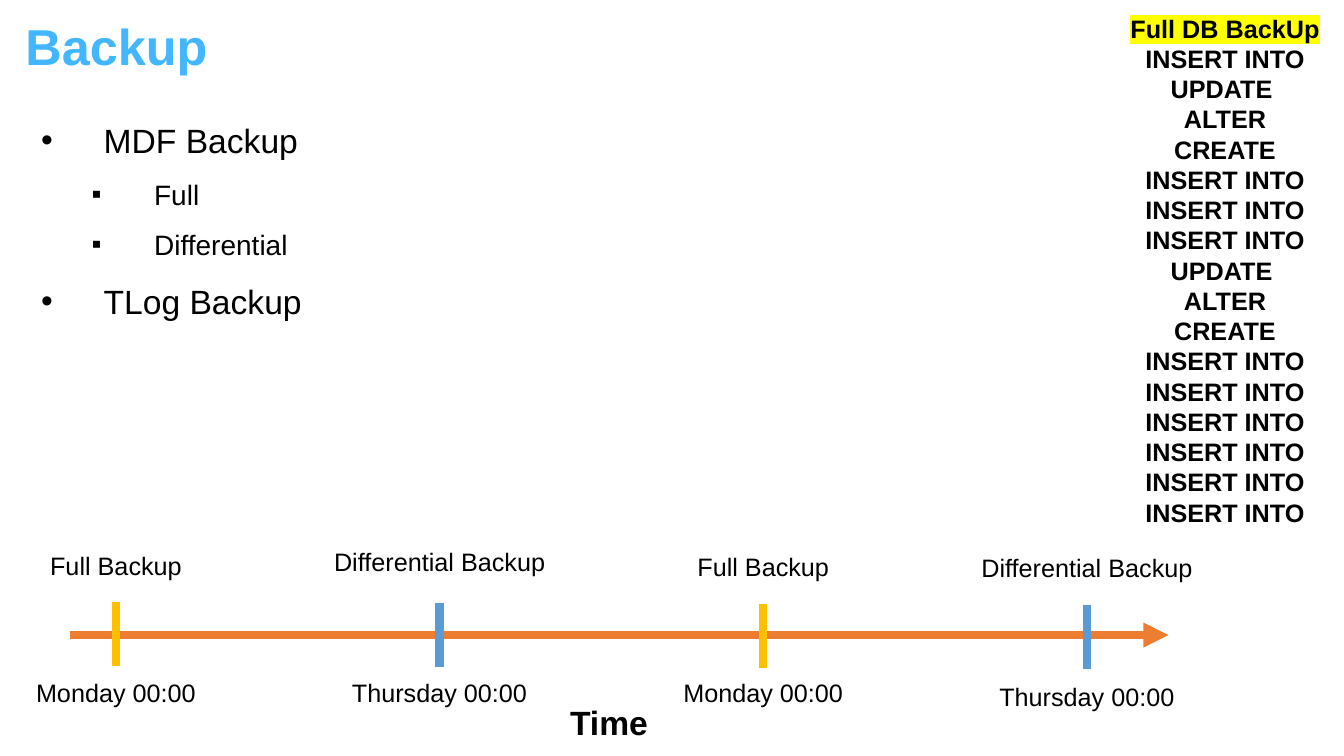
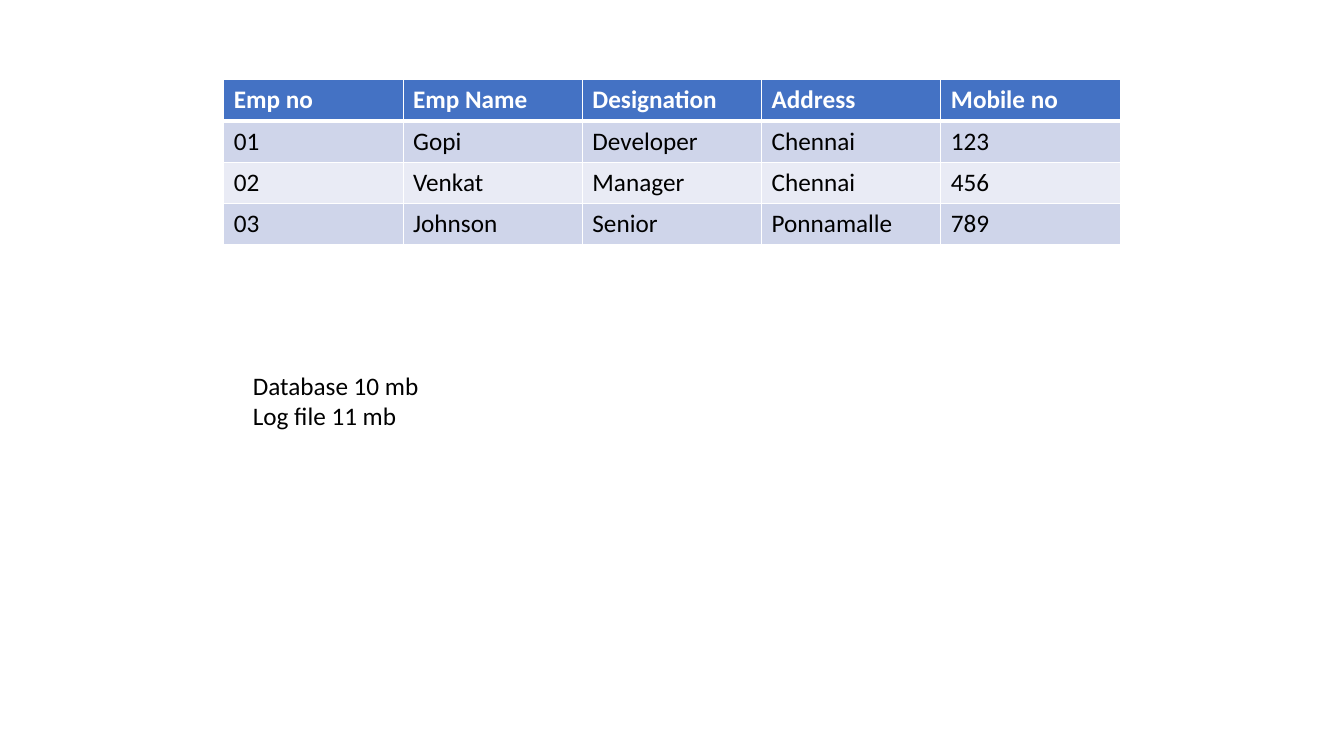
"""Build two slides on database backups: a timeline and an employee table."""
from pptx import Presentation
from pptx.dml.color import RGBColor
from pptx.enum.shapes import MSO_CONNECTOR as Connector
from pptx.enum.text import MSO_ANCHOR as Anchor, MSO_AUTO_SIZE as AutoSize, PP_ALIGN as Align
from pptx.oxml.ns import qn
from pptx.util import Inches, Pt
from lxml.etree import SubElement

BLACK = RGBColor(0x00, 0x00, 0x00)
WHITE = RGBColor(0xFF, 0xFF, 0xFF)
SKY = RGBColor(0x42, 0xB7, 0xFF)
ORANGE = RGBColor(0xED, 0x7D, 0x31)
GOLD = RGBColor(0xFF, 0xC0, 0x00)
BLUE = RGBColor(0x5B, 0x9B, 0xD5)
YELLOW = RGBColor(0xFF, 0xFF, 0x00)
HEADER = RGBColor(0x44, 0x72, 0xC4)
BAND_DARK = RGBColor(0xCF, 0xD5, 0xEA)
BAND_LIGHT = RGBColor(0xE9, 0xEB, 0xF5)
TITLE_ONLY, BLANK = 5, 6


class SlideBuilder:
    """Holds the deck, its text style and the current page."""

    def __init__(self, font="Arial", size=18):
        self.font, self.size = font, size
        self.deck = Presentation()
        self.deck.slide_width, self.deck.slide_height = Inches(13.33), Inches(7.5)
        self.page = None

    def new_page(self, layout, font):
        """Start a page with its own typeface."""
        self.page = self.deck.slides.add_slide(self.deck.slide_layouts[layout])
        self.font = font

    def format_para(self, para, size=None, color=BLACK, bold=False, align=None):
        """Format a paragraph and its runs."""
        para.alignment = align
        for span in para.runs:
            span.font.size = Pt(size or self.size)
            span.font.name = self.font
            span.font.bold = bold
            span.font.color.rgb = color

    def title(self, text, left, top, width, height):
        """Move and format the title placeholder."""
        box = self.page.shapes.title
        box.left, box.top = Inches(left), Inches(top)
        box.width, box.height = Inches(width), Inches(height)
        frame = box.text_frame
        frame.text = text
        frame.word_wrap = False
        frame.auto_size = AutoSize.NONE
        frame.vertical_anchor = Anchor.TOP
        self.format_para(frame.paragraphs[0], 36, SKY, True, Align.CENTER)

    def text(self, lines, left, top, width, height, **style):
        """Add a text box with one paragraph a line."""
        box = self.page.shapes.add_textbox(
            Inches(left), Inches(top), Inches(width), Inches(height))
        frame = box.text_frame
        frame.text = "\n".join(lines)
        frame.word_wrap = False
        frame.auto_size = AutoSize.SHAPE_TO_FIT_TEXT
        for para in frame.paragraphs:
            self.format_para(para, **style)
        return frame.paragraphs

    def bullets(self, items, left, top, width, height):
        """Add a bulleted list from (level, text) pairs."""
        paras = self.text([text for _, text in items], left, top, width, height)
        for para, (level, _) in zip(paras, items):
            self.format_para(para, 24 - 4 * level)
            para.level = level
            para.line_spacing = 1.5
            properties = para._p.get_or_add_pPr()
            properties.set("marL", str(Inches(0.62 + 0.5 * level)))
            properties.set("indent", str(Inches(-0.62)))
            SubElement(properties, qn("a:buFont"), typeface="Arial")
            SubElement(properties, qn("a:buChar"), char="•▪"[level])

    def highlight(self, para, color):
        """Mark the runs of a paragraph with a background colour."""
        for span in para.runs:
            properties = span._r.get_or_add_rPr()
            mark = SubElement(properties, qn("a:highlight"))
            SubElement(mark, qn("a:srgbClr"), val=str(color))
            properties.find(qn("a:solidFill")).addnext(mark)

    def line(self, start, end, color, arrow=False):
        """Add a thick straight line, with an arrowhead on request."""
        line = self.page.shapes.add_connector(
            Connector.STRAIGHT, *(Inches(value) for value in (*start, *end)))
        line.line.color.rgb = color
        line.line.width = Pt(6)
        if arrow:
            SubElement(line.line._get_or_add_ln(), qn("a:tailEnd"), type="triangle")
        SubElement(line._element.spPr, qn("a:effectLst"))

    def border(self, cell, edge, width):
        """Draw one white cell edge."""
        line = SubElement(cell._tc.get_or_add_tcPr(), qn(f"a:ln{edge}"), w=str(Pt(width)))
        fill = SubElement(line, qn("a:solidFill"))
        SubElement(fill, qn("a:srgbClr"), val=str(WHITE))

    def table(self, rows, left, top, width, row_height):
        """Add a table with a header and banded rows."""
        table = self.page.shapes.add_table(
            len(rows), len(rows[0]), Inches(left), Inches(top),
            Inches(width), Inches(row_height * len(rows))).table
        for row, values in enumerate(rows):
            table.rows[row].height = Inches(row_height)
            is_header = row == 0
            fill = HEADER if is_header else BAND_DARK if row % 2 else BAND_LIGHT
            widths = {"L": 1, "R": 1, "T": 3 if row == 1 else 1, "B": 3 if is_header else 1}
            for column, value in enumerate(values):
                cell = table.cell(row, column)
                cell.text = value
                self.format_para(cell.text_frame.paragraphs[0],
                                 color=WHITE if is_header else BLACK, bold=is_header)
                for edge, edge_width in widths.items():
                    self.border(cell, edge, edge_width)
                cell.fill.solid()
                cell.fill.fore_color.rgb = fill


def backup_page(builder):
    """Build the backup kinds, statement log and timeline."""
    builder.new_page(TITLE_ONLY, "Arial")
    builder.title("Backup", 0.14, 0.1, 2.03, 0.71)
    builder.bullets([(0, "MDF Backup"), (1, "Full"), (1, "Differential"),
                     (0, "TLog Backup")], 0.31, 0.94, 2.82, 2.25)

    insert, changes = "INSERT INTO", ["UPDATE ", "ALTER", "CREATE"]
    statements = ["Full DB BackUp", insert, *changes, *[insert] * 3, *changes, *[insert] * 6]
    log = builder.text(statements, 11.1, 0.08, 2.1, 5.25, bold=True, align=Align.CENTER)
    builder.highlight(log[0], YELLOW)

    builder.text(["Time"], 5.55, 6.91, 0.98, 0.5, size=24, bold=True, align=Align.CENTER)
    builder.line((0.69, 6.3), (11.59, 6.3), ORANGE, arrow=True)
    full = ("Full Backup", 1.52, "Monday 00:00", 1.8, GOLD)
    differential = ("Differential Backup", 2.32, "Thursday 00:00", 1.96, BLUE)
    label_tops = [5.41, 5.37, 5.42, 5.43]
    time_tops = [6.67, 6.67, 6.67, 6.71]
    events = zip([full, differential] * 2, label_tops, time_tops)
    for index, (event, label_top, time_top) in enumerate(events):
        label, label_width, time, time_width, color = event
        center, tick_top = 1.15 + 3.21 * index, 5.97 + 0.01 * index
        builder.line((center, tick_top), (center, tick_top + 0.64), color)
        for text, width, top in ((label, label_width, label_top), (time, time_width, time_top)):
            builder.text([text], center - width / 2, top, width, 0.4, align=Align.CENTER)


def employee_page(builder):
    """Build the employee table and the file sizes."""
    builder.new_page(BLANK, "Calibri")
    builder.table([
        ["Emp no", "Emp Name", "Designation", "Address", "Mobile no"],
        ["01", "Gopi", "Developer", "Chennai", "123"],
        ["02", "Venkat", "Manager", "Chennai", "456"],
        ["03", "Johnson", "Senior ", "Ponnamalle", "789"],
    ], 2.22, 0.79, 8.89, 0.41)
    builder.text(["Database 10 mb", "Log file 11 mb"], 2.41, 3.62, 1.86, 0.71)


builder = SlideBuilder()
backup_page(builder)
employee_page(builder)
builder.deck.save("out.pptx")
